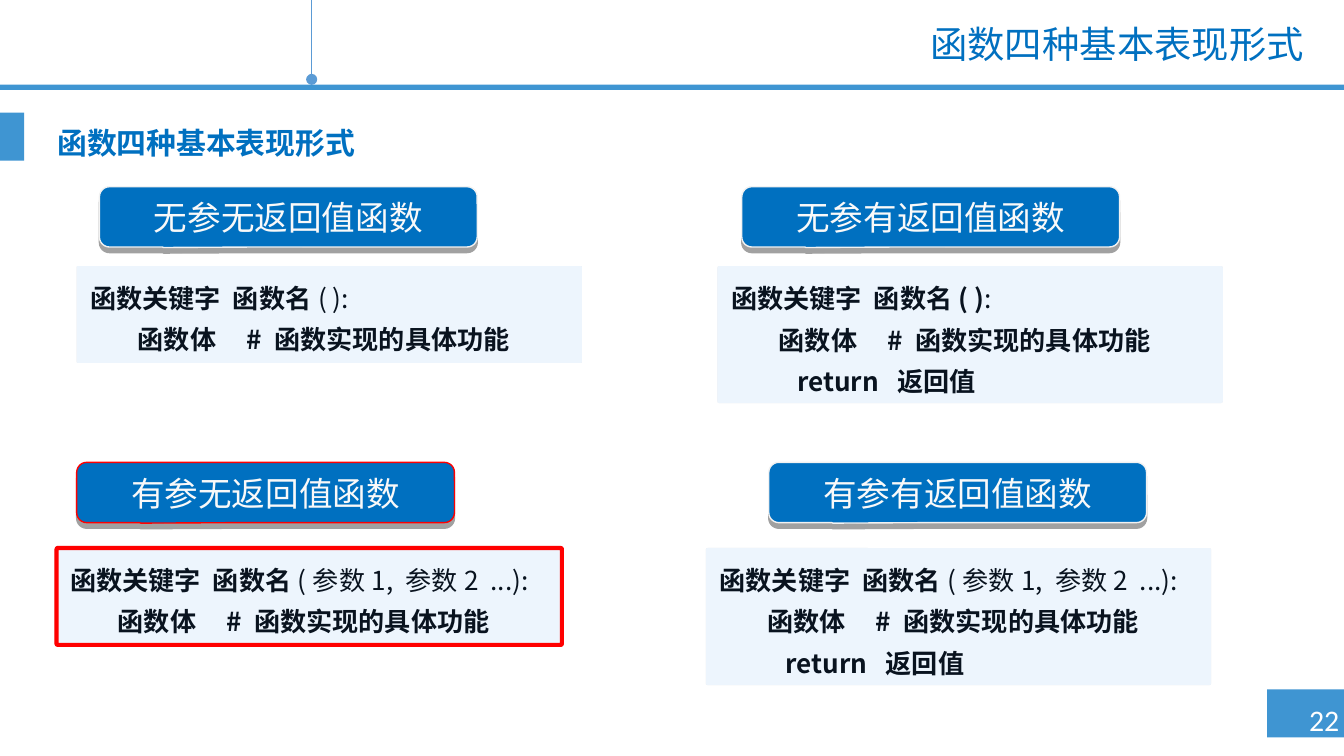
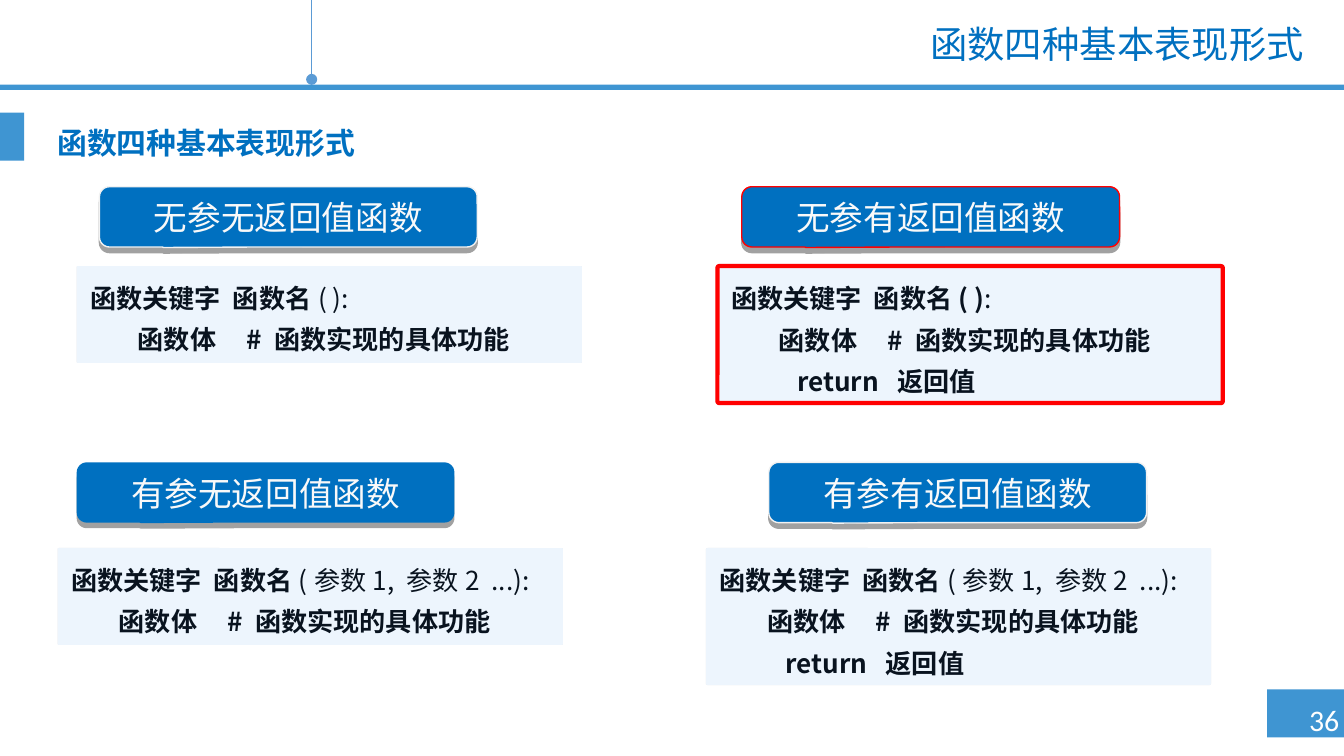
"""Build two slides on the four basic forms of a function."""
from lxml import etree
from pptx import Presentation
from pptx.dml.color import RGBColor
from pptx.enum.shapes import MSO_CONNECTOR, MSO_SHAPE
from pptx.enum.text import MSO_ANCHOR, PP_ALIGN
from pptx.oxml.ns import qn
from pptx.util import Cm, Pt

RECT = MSO_SHAPE.RECTANGLE
ROUND = MSO_SHAPE.ROUNDED_RECTANGLE
CALLOUT = MSO_SHAPE.ROUNDED_RECTANGULAR_CALLOUT
STRAIGHT = MSO_CONNECTOR.STRAIGHT
TOP, BOTTOM = MSO_ANCHOR.TOP, MSO_ANCHOR.BOTTOM
LEFT, CENTER, RIGHT = PP_ALIGN.LEFT, PP_ALIGN.CENTER, PP_ALIGN.RIGHT

COLORS = {
    "band": "3F95D2", "pendulum": "5B9BD5", "heading": "0070C0",
    "panel": "EDF5FD", "code": "09131F", "edge": "F2F2F2",
    "label": "F9F9F9", "white": "FFFFFF", "focus": "FF0000", "shadow": "000000",
}
CJK, LATIN, NUMBER = "Noto Sans CJK SC", "Lato", "Calibri"

TOPIC = "函数四种基本表现形式"
BODY = ("        函数体    # 函数实现的具体功能", "")
RETURN = ("\treturn  返回值", "")
NO_ARGS = ("函数关键字  函数名", "( ):")
NO_ARGS_RETURN = ("函数关键字  函数名( )", ":")
WITH_ARGS = ("函数关键字  函数名", "(参数1, 参数2  ...):")

UPPER, LOWER = (3.53, 5.03), (8.74, 10.36)
FORMS = [
    ("无参无返回值函数", 1.88, 1.45, UPPER, [NO_ARGS, BODY]),
    ("有参无返回值函数", 1.45, 1.09, LOWER, [WITH_ARGS, BODY]),
    ("无参有返回值函数", 14.02, 13.56, UPPER, [NO_ARGS_RETURN, BODY, RETURN]),
    ("有参有返回值函数", 14.53, 13.34, LOWER, [WITH_ARGS, BODY, RETURN]),
]
PAGES = [
    {"number": "22 ", "focus": "有参无返回值函数", "borderless": "", "nudge": -0.02},
    {"number": "36 ", "focus": "无参有返回值函数", "borderless": "有参无返回值函数", "nudge": 0},
]


class Deck:
    """Holds the shared style and the slide being drawn."""

    def __init__(self):
        self.prs = Presentation()
        self.prs.slide_width, self.prs.slide_height = Cm(25.4), Cm(14.29)
        self.slide = None

    def color(self, name):
        return RGBColor.from_string(COLORS[name])

    def style(self, run, size, font, color, bold=False):
        run.font.size, run.font.name, run.font.bold = Pt(size), font, bold
        run.font.color.rgb = self.color(color)
        east_asian = etree.SubElement(run.font._element, qn("a:ea"))
        east_asian.set("typeface", font)

    def shape(self, kind, box, fill, edge=None, width=0.75):
        shape = self.slide.shapes.add_shape(kind, *map(Cm, box))
        shape.shadow.inherit = False
        shape.fill.solid()
        shape.fill.fore_color.rgb = self.color(fill)
        if edge:
            shape.line.color.rgb = self.color(edge)
            shape.line.width = Pt(width)
        else:
            shape.line.fill.background()
        return shape

    def shadow(self, shape, percent, distance):
        effects = shape._element.spPr.find(qn("a:effectLst"))
        outer = etree.SubElement(effects, qn("a:outerShdw"), blurRad="0",
                                 dist=str(Pt(distance)), dir="5400000", rotWithShape="0")
        tint = etree.SubElement(outer, qn("a:srgbClr"), val=COLORS["shadow"])
        etree.SubElement(tint, qn("a:alpha"), val=str(percent * 1000))

    def text(self, box, words, size, font, color, align, bold=False, spacing=None, wrap=True):
        frame = self.slide.shapes.add_textbox(*map(Cm, box)).text_frame
        frame.word_wrap = wrap
        frame.text = words
        line = frame.paragraphs[0]
        line.alignment, line.line_spacing = align, spacing
        self.style(line.runs[0], size, font, color, bold)

    def pendulum(self):
        rod = self.slide.shapes.add_connector(STRAIGHT, Cm(5.89), Cm(0), Cm(5.89), Cm(1.5))
        rod.line.color.rgb = self.color("pendulum")
        rod.line.width = Pt(0.75)
        etree.SubElement(rod.line._get_or_add_ln(), qn("a:tailEnd"), type="oval")
        etree.SubElement(rod._element.spPr, qn("a:effectLst"))

    def page(self, number):
        self.slide = self.prs.slides.add_slide(self.prs.slide_layouts[6])
        self.shape(RECT, (23.95, 13.03, 1.45, 0.91), "band")
        self.shape(RECT, (0, 1.6, 25.4, 0.1), "band")
        self.text((24.43, 13.13, 1.32, 0.94), number, 16, NUMBER, "white", CENTER, wrap=False)
        self.pendulum()
        self.shape(RECT, (0, 2.13, 0.46, 0.91), "band")
        self.text((6.1, 0.38, 18.8, 1.02), TOPIC, 20, LATIN, "heading", RIGHT, spacing=0.9)
        self.text((0.51, 2.31, 6.78, 1.22), TOPIC, 16, CJK, "heading", CENTER, True, 0.9)

    def code(self, left, top, lines, focused):
        height = 0.31 + 0.76 * len(lines)
        panel = self.shape(ROUND, (left, top, 9.55, height), "panel",
                           "focus" if focused else None, 2.25)
        panel.adjustments[0] = 0.013
        self.shadow(panel, 7, 0)
        frame = panel.text_frame
        frame.word_wrap, frame.vertical_anchor = True, TOP
        for index, (strong, plain) in enumerate(lines):
            line = frame.add_paragraph() if index else frame.paragraphs[0]
            stops = etree.SubElement(line._p.get_or_add_pPr(), qn("a:tabLst"))
            etree.SubElement(stops, qn("a:tab"), pos=str(Cm(1.25)), algn="l")
            line.alignment, line.line_spacing = LEFT, Pt(22)
            for words, bold in ((strong, True), (plain, False)):
                if words:
                    run = line.add_run()
                    run.text = words
                    self.style(run, 14, CJK, "code", bold)

    def callout(self, left, top, label, edge):
        button = self.shape(CALLOUT, (left, top, 7.14, 1.14), "heading", edge)
        for index, value in enumerate((-0.33, 0.508, 0.167)):
            button.adjustments[index] = value
        self.shadow(button, 37, 3)
        frame = button.text_frame
        frame.text = label
        frame.word_wrap, frame.vertical_anchor = True, BOTTOM
        frame.paragraphs[0].alignment = CENTER
        self.style(frame.paragraphs[0].runs[0], 18, CJK, "label")


def main():
    deck = Deck()
    for page in PAGES:
        deck.page(page["number"])
        for label, _, left, (_, top), lines in FORMS:
            focused = label == page["focus"]
            deck.code(left + page["nudge"] * focused, top, lines, focused)
        edges = {page["focus"]: "focus", page["borderless"]: None}
        for label, left, _, (top, _), _ in FORMS:
            deck.callout(left, top, label, edges.get(label, "edge"))
    deck.prs.save("out.pptx")


if __name__ == "__main__":
    main()
